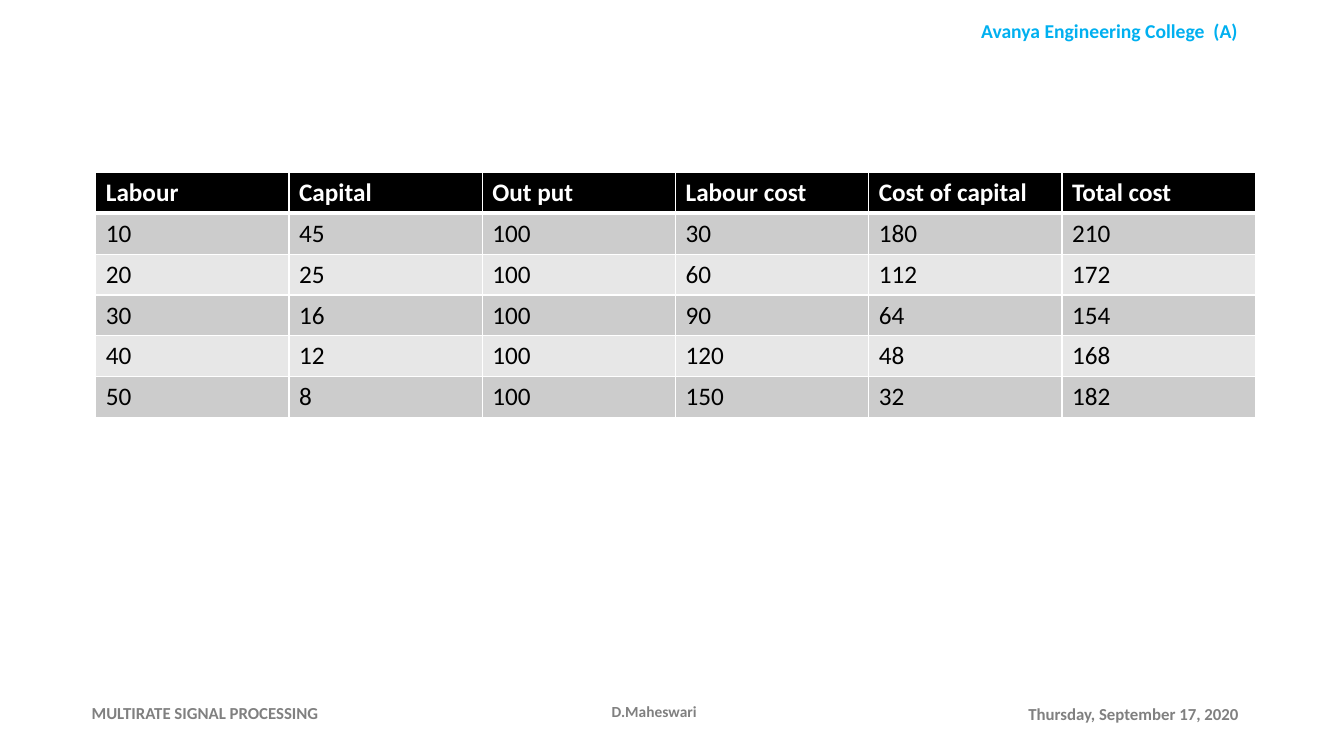
from dataclasses import dataclass

import lxml.etree
import pptx
import pptx.dml.color
import pptx.enum.text
import pptx.oxml.ns
import pptx.presentation
import pptx.slide
import pptx.table
import pptx.util

Align = pptx.enum.text.PP_ALIGN
Anchor = pptx.enum.text.MSO_ANCHOR


@dataclass(frozen=True)
class Theme:
    font: str = "Calibri"
    white: str = "FFFFFF"
    black: str = "000000"
    accent: str = "00B0F0"
    muted: str = "808080"
    bands: tuple[str, str] = ("CCCCCC", "E7E7E7")
    header_size: float = 14
    table_size: float = 18
    footer_size: float = 12
    presenter_size: float = 11
    thin_border: float = 1
    thick_border: float = 3


@dataclass(frozen=True)
class Area:
    """Left, top, width and height in percent of the slide."""

    left: float
    top: float
    width: float
    height: float


@dataclass(frozen=True)
class Label:
    text: str
    area: Area
    size: float
    color: str
    alignment: Align
    anchor: Anchor = Anchor.MIDDLE


THEME = Theme()
SLIDE_WIDTH = pptx.util.Inches(13.33)
SLIDE_HEIGHT = pptx.util.Inches(7.5)
BLANK_LAYOUT = 6

LABELS = [
    Label("MULTIRATE SIGNAL PROCESSING", Area(6.08, 91.6, 19.73, 5.33),
          THEME.footer_size, THEME.muted, Align.JUSTIFY),
    Label("Avanya Engineering College  (A)", Area(68.19, 1.87, 28.73, 4.53),
          THEME.header_size, THEME.accent, Align.CENTER, Anchor.TOP),
    Label("Thursday, September 17, 2020", Area(75.77, 91.73, 17.3, 5.33),
          THEME.footer_size, THEME.muted, Align.LEFT),
    Label("D.Maheswari", Area(37.43, 91.47, 22.5, 5.33),
          THEME.presenter_size, THEME.muted, Align.CENTER),
]

TABLE_AREA = Area(7.13, 22.8, 86.27, 32.4)
HEADINGS = ("Labour", "Capital", "Out put", "Labour cost", "Cost of capital", "Total cost")
COSTS = [
    (10, 45, 100, 30, 180, 210),
    (20, 25, 100, 60, 112, 172),
    (30, 16, 100, 90, 64, 154),
    (40, 12, 100, 120, 48, 168),
    (50, 8, 100, 150, 32, 182),
]


def place(area: Area) -> tuple[int, int, int, int]:
    return (
        round(SLIDE_WIDTH * area.left / 100),
        round(SLIDE_HEIGHT * area.top / 100),
        round(SLIDE_WIDTH * area.width / 100),
        round(SLIDE_HEIGHT * area.height / 100),
    )


def write(text_frame, text: str, size: float, color: str, bold: bool, alignment: Align) -> None:
    text_frame.text = text
    paragraph = text_frame.paragraphs[0]
    paragraph.alignment = alignment
    font = paragraph.runs[0].font
    font.name = THEME.font
    font.size = pptx.util.Pt(size)
    font.bold = bold
    font.color.rgb = pptx.dml.color.RGBColor.from_string(color)


def add_label(slide: pptx.slide.Slide, label: Label) -> None:
    text_frame = slide.shapes.add_textbox(*place(label.area)).text_frame
    text_frame.word_wrap = True
    text_frame.vertical_anchor = label.anchor
    write(text_frame, label.text, label.size, label.color, True, label.alignment)


def set_borders(cell, top: float, bottom: float) -> None:
    qualified = pptx.oxml.ns.qn
    properties = cell._tc.get_or_add_tcPr()
    widths = {"lnL": THEME.thin_border, "lnR": THEME.thin_border, "lnT": top, "lnB": bottom}
    for position, (side, width) in enumerate(widths.items()):
        line = lxml.etree.Element(qualified(f"a:{side}"), w=str(pptx.util.Pt(width)))
        fill = lxml.etree.SubElement(line, qualified("a:solidFill"))
        lxml.etree.SubElement(fill, qualified("a:srgbClr"), val=THEME.white)
        properties.insert(position, line)


def add_cost_table(slide: pptx.slide.Slide) -> None:
    rows = [HEADINGS, *COSTS]
    left, top, width, height = place(TABLE_AREA)
    frame = slide.shapes.add_table(len(rows), len(HEADINGS), left, top, width, height)
    table: pptx.table.Table = frame.table
    for row_index, values in enumerate(rows):
        heading = row_index == 0
        fill = THEME.black if heading else THEME.bands[(row_index - 1) % 2]
        color = THEME.white if heading else THEME.black
        top_border = THEME.thick_border if row_index == 1 else THEME.thin_border
        bottom_border = THEME.thick_border if heading else THEME.thin_border
        for column_index, value in enumerate(values):
            cell = table.cell(row_index, column_index)
            write(cell.text_frame, str(value), THEME.table_size, color, heading, Align.LEFT)
            cell.fill.solid()
            cell.fill.fore_color.rgb = pptx.dml.color.RGBColor.from_string(fill)
            set_borders(cell, top_border, bottom_border)


def main() -> None:
    presentation: pptx.presentation.Presentation = pptx.Presentation()
    presentation.slide_width = SLIDE_WIDTH
    presentation.slide_height = SLIDE_HEIGHT
    slide = presentation.slides.add_slide(presentation.slide_layouts[BLANK_LAYOUT])
    add_cost_table(slide)
    for label in LABELS:
        add_label(slide, label)
    presentation.save("out.pptx")


if __name__ == "__main__":
    main()
